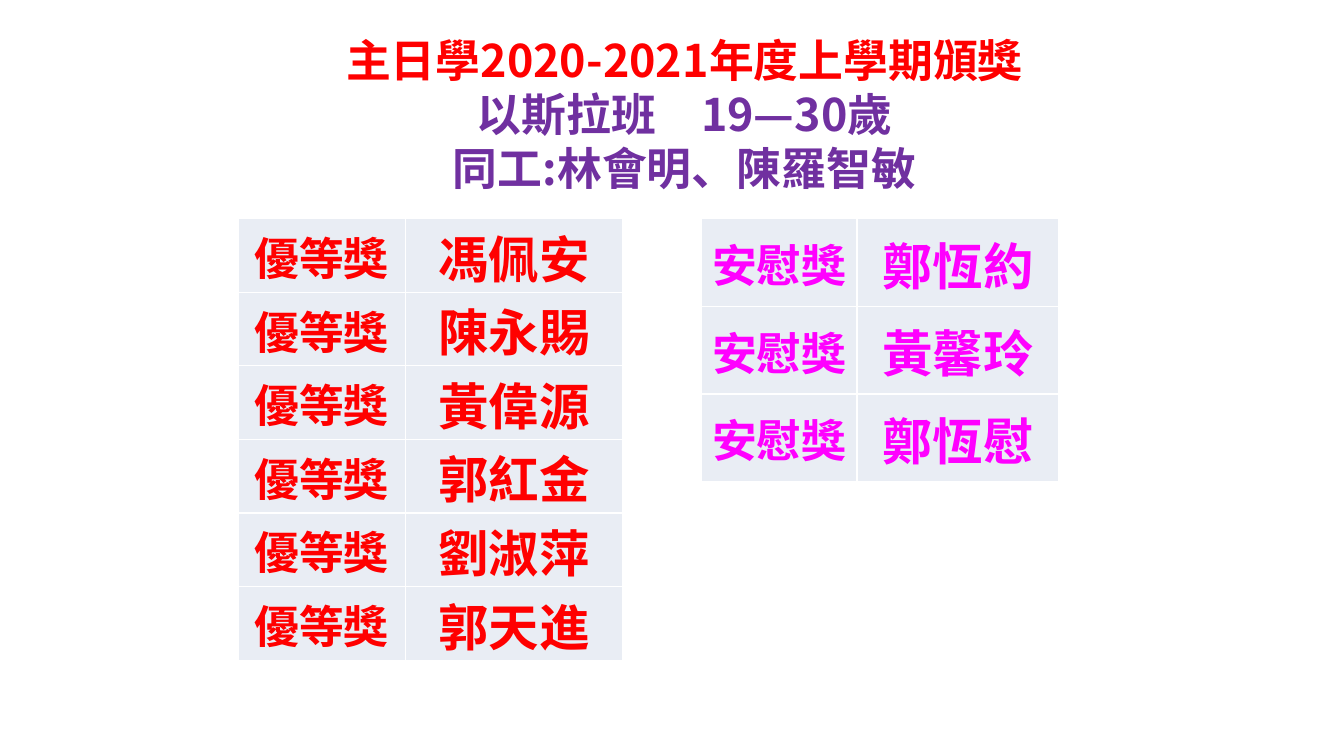
from pptx import Presentation
from pptx.dml.color import RGBColor
from pptx.enum.text import MSO_ANCHOR, PP_ALIGN
from pptx.oxml import parse_xml
from pptx.oxml.ns import nsdecls
from pptx.util import Inches, Pt

RED = RGBColor(0xFF, 0x00, 0x00)
PURPLE = RGBColor(0x70, 0x30, 0xA0)
MAGENTA = RGBColor(0xFF, 0x00, 0xFF)
PALE = RGBColor(0xE9, 0xED, 0xF4)
CJK_FONT = "Noto Sans CJK SC"

HEADING = [
    ("主日學2020-2021年度上學期頒獎", RED),
    ("以斯拉班　19—30歲", PURPLE),
    ("同工:林會明、陳羅智敏", PURPLE),
]
MERIT_NAMES = ["馮佩安", "陳永賜", "黃偉源", "郭紅金", "劉淑萍", "郭天進"]
CONSOLATION_NAMES = ["鄭恆約", "黃馨玲", "鄭恆慰"]


def write(p, text, size, color, font):
    p.alignment = PP_ALIGN.CENTER
    r = p.add_run()
    r.text = text
    for key, value in {"name": font, "size": Pt(size), "bold": True}.items():
        setattr(r.font, key, value)
    r.font.color.rgb = color
    r.font._element.append(
        parse_xml(f'<a:ea {nsdecls("a")} typeface="{CJK_FONT}"/>'))


def add_heading(s, left, top, width, height):
    tf = s.shapes.add_textbox(
        Inches(left), Inches(top), Inches(width), Inches(height)).text_frame
    tf.word_wrap = True
    for i, (text, color) in enumerate(HEADING):
        p = tf.add_paragraph() if i else tf.paragraphs[0]
        p.line_spacing = Pt(38.4)
        write(p, text, 32, color, CJK_FONT)


def add_borders(cell):
    props = cell._tc.get_or_add_tcPr()
    for i, side in enumerate(("lnL", "lnR", "lnT", "lnB")):
        props.insert(i, parse_xml(
            f'<a:{side} {nsdecls("a")} w="12700"><a:solidFill>'
            f'<a:srgbClr val="FFFFFF"/></a:solidFill></a:{side}>'))


def fill_cell(cell, text, size, color):
    margin = Inches(0.01)
    layout = {"margin_left": margin, "margin_right": margin,
              "margin_top": margin, "margin_bottom": 0,
              "vertical_anchor": MSO_ANCHOR.MIDDLE}
    for key, value in layout.items():
        setattr(cell, key, value)
    cell.fill.solid()
    cell.fill.fore_color.rgb = PALE
    add_borders(cell)
    write(cell.text_frame.paragraphs[0], text, size, color, "Calibri")


def add_awards(s, left, widths, row_height, award, names, color):
    table = s.shapes.add_table(
        len(names), 2, Inches(left), Inches(2.17),
        Inches(sum(widths)), Inches(row_height * len(names))).table
    for column, width in zip(table.columns, widths):
        column.width = Inches(width)
    for row, name in zip(table.rows, names):
        row.height = Inches(row_height)
        fill_cell(row.cells[0], award, 32, color)
        fill_cell(row.cells[1], name, 36, color)


def main():
    prs = Presentation()
    prs.slide_width, prs.slide_height = Inches(13.33), Inches(7.5)
    s = prs.slides.add_slide(prs.slide_layouts[6])
    add_heading(s, 2.34, 0.28, 8.9, 2.26)
    add_awards(s, 2.36, (1.66, 2.16), 0.73, "優等獎", MERIT_NAMES, RED)
    add_awards(s, 6.96, (1.54, 2), 0.87, "安慰獎", CONSOLATION_NAMES, MAGENTA)
    prs.save("out.pptx")


if __name__ == "__main__":
    main()
